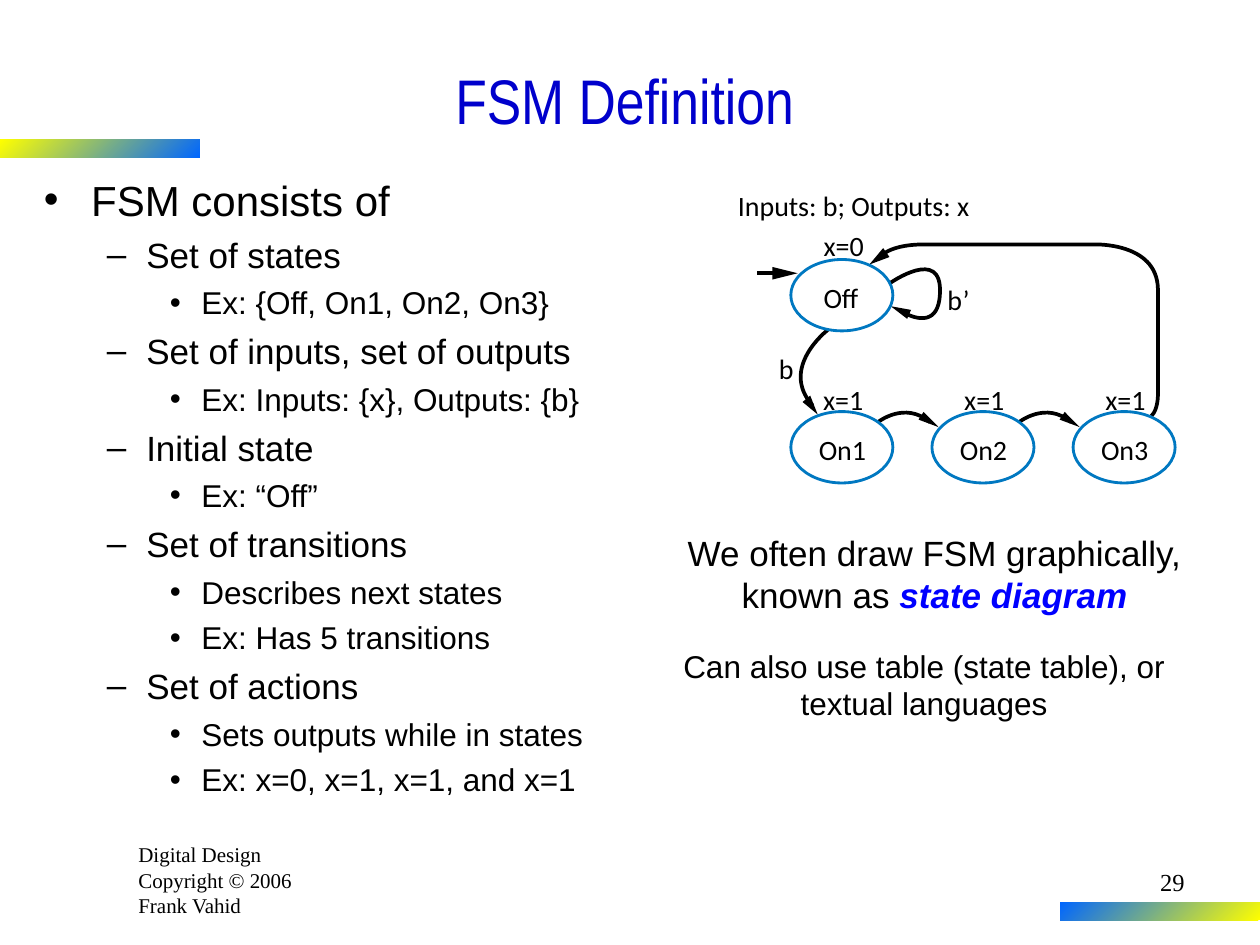
from lxml import etree
from pptx import Presentation
from pptx.dml.color import RGBColor
from pptx.enum.shapes import MSO_CONNECTOR, MSO_SHAPE
from pptx.enum.text import MSO_ANCHOR, PP_ALIGN
from pptx.oxml.ns import qn
from pptx.util import Pt

LEFT, CENTER, RIGHT = PP_ALIGN.LEFT, PP_ALIGN.CENTER, PP_ALIGN.RIGHT
TOP, MIDDLE = MSO_ANCHOR.TOP, MSO_ANCHOR.MIDDLE
RECTANGLE, OVAL = MSO_SHAPE.RECTANGLE, MSO_SHAPE.OVAL
STRAIGHT = MSO_CONNECTOR.STRAIGHT

BLACK = "000000"
BLUE, YELLOW = "0066FF", "FFFF00"
STATE_PITCH = 80.64

BULLET_LEVELS = [
    ("•", 24, 27, 27, 0),
    ("–", 20, 58.5, 22.5, 5),
    ("•", 18, 90, 18, 4.5),
]

OUTLINE = [
    (0, "FSM consists of"),
    (1, "Set of states"),
    (2, "Ex: {Off, On1, On2, On3}"),
    (1, "Set of inputs, set of outputs"),
    (2, "Ex: Inputs: {x}, Outputs: {b}"),
    (1, "Initial state"),
    (2, "Ex: “Off”"),
    (1, "Set of transitions"),
    (2, "Describes next states"),
    (2, "Ex: Has 5 transitions"),
    (1, "Set of actions"),
    (2, "Sets outputs while in states"),
    (2, "Ex: x=0, x=1, x=1, and x=1"),
]


def color(value):
    return RGBColor.from_string(value)


def shift(points, distance):
    return [(x + distance, y) for x, y in points]


class SlideBuilder:
    ink = BLACK
    stroke = 2.13
    state_color = "0078C1"
    state_stroke = 1.62

    def __init__(self, page):
        self.page = page

    def span(self, para, text, font, size, ink=BLACK, strong=False):
        span = para.add_run()
        span.text = text
        span.font.name = font
        span.font.size = Pt(size)
        span.font.color.rgb = color(ink)
        span.font.bold = span.font.italic = strong

    def box(self, left, top, width, height, anchor=TOP, inset=(7.2, 3.6), wrap=True):
        box = self.page.shapes.add_textbox(Pt(left), Pt(top), Pt(width), Pt(height))
        frame = box.text_frame
        frame.word_wrap = wrap
        frame.vertical_anchor = anchor
        frame.margin_left = frame.margin_right = Pt(inset[0])
        frame.margin_top = frame.margin_bottom = Pt(inset[1])
        return frame

    def text(self, place, lines, font, size, align=LEFT, **options):
        frame = self.box(*place, **options)
        for index, spans in enumerate(lines):
            para = frame.add_paragraph() if index else frame.paragraphs[0]
            para.alignment = align
            for words, ink, strong in spans:
                self.span(para, words, font, size, ink, strong)

    def label(self, left, top, width, words):
        self.text((left, top, width, 19.4), [[(words, self.ink, False)]],
                  "Calibri", 16, inset=(0, 0), wrap=False)

    def bullets(self, place, items):
        frame = self.box(*place)
        for index, (level, words) in enumerate(items):
            mark, size, margin, hang, space = BULLET_LEVELS[level]
            para = frame.add_paragraph() if index else frame.paragraphs[0]
            para.level = level
            para.space_before = Pt(space)
            properties = para._p.get_or_add_pPr()
            properties.set("marL", str(Pt(margin)))
            properties.set("indent", str(-Pt(hang)))
            etree.SubElement(properties, qn("a:buFont"), typeface="Arial")
            etree.SubElement(properties, qn("a:buChar"), char=mark)
            self.span(para, words, "Arial", size)

    def bar(self, left, top, start, end):
        bar = self.page.shapes.add_shape(RECTANGLE, Pt(left), Pt(top), Pt(114.2), Pt(10.4))
        bar.shadow.inherit = False
        bar.line.fill.background()
        bar.fill.gradient()
        bar.fill.gradient_angle = 135
        for stop, value in zip(bar.fill.gradient_stops, (start, end)):
            stop.color.rgb = color(value)

    def state(self, left, top):
        oval = self.page.shapes.add_shape(OVAL, Pt(left), Pt(top), Pt(58.3), Pt(40.8))
        oval.shadow.inherit = False
        oval.fill.background()
        oval.line.color.rgb = color(self.state_color)
        oval.line.width = Pt(self.state_stroke)

    def outline(self, points, close):
        corners = [(Pt(x), Pt(y)) for x, y in points]
        builder = self.page.shapes.build_freeform(*corners[0], scale=1.0)
        builder.add_line_segments(corners[1:], close=close)
        shape = builder.convert_to_shape()
        shape.shadow.inherit = False
        return shape

    def curve(self, points):
        shape = self.outline(points, False)
        shape.fill.background()
        shape.line.color.rgb = color(self.ink)
        shape.line.width = Pt(self.stroke)
        track = shape._element.find(".//" + qn("a:path"))
        segments = track.findall(qn("a:lnTo"))
        for first in range(0, len(segments), 3):
            bezier = etree.SubElement(track, qn("a:cubicBezTo"))
            for segment in segments[first:first + 3]:
                bezier.append(segment[0])
                track.remove(segment)

    def arrowhead(self, points):
        shape = self.outline(points, True)
        shape.fill.solid()
        shape.fill.fore_color.rgb = color(self.ink)
        shape.line.fill.background()

    def line(self, x1, y1, x2, y2):
        line = self.page.shapes.add_connector(STRAIGHT, Pt(x1), Pt(y1), Pt(x2), Pt(y2))
        line.line.color.rgb = color(self.ink)
        line.line.width = Pt(self.stroke)
        etree.SubElement(line._element.spPr, qn("a:effectLst"))


def draw_diagram(slide):
    slide.label(421.7, 108, 153.4, "Inputs: b; Outputs: x")
    slide.line(432.7, 156.2, 444.2, 156.2)
    slide.arrowhead([(455.8, 156.2), (441.4, 152.6), (441.4, 159.8)])

    step_curve = [(501.8, 241.2), (501.8, 241.2), (517, 229), (531.4, 241.2)]
    step_head = [(536.4, 244.1), (527.8, 235.4), (524.9, 239.8)]
    for index in range(2):
        slide.curve(shift(step_curve, index * STATE_PITCH))
        slide.arrowhead(shift(step_head, index * STATE_PITCH))

    slide.curve([(516.2, 178.6), (524.2, 182.9), (536.4, 185.8), (537.1, 167.8),
                 (538.6, 140.4), (508.3, 162), (508.3, 162)])
    slide.arrowhead([(509, 175), (518.4, 182.2), (520.6, 177.1)])

    slide.curve([(505.4, 144.7), (509.8, 141.8), (517, 139.7), (528.5, 139.7),
                 (625, 139.7), (625, 139.7), (625, 139.7),
                 (625, 139.7), (661, 138.2), (661.7, 164.9),
                 (661.7, 226.1), (661.7, 226.1), (661.7, 226.1),
                 (661.7, 226.1), (661.7, 234), (658.1, 237.6)])
    slide.arrowhead([(496.8, 151.2), (508.3, 146.9), (504.7, 141.8)])

    slide.curve([(473, 188.6), (473, 188.6), (445, 210.2), (464.4, 231.8)])
    slide.arrowhead([(467.3, 236.9), (463, 226.1), (458.6, 229.7)])

    slide.label(541.4, 161.3, 10, "b")
    slide.label(550.1, 161.3, 3, "’")
    slide.label(445, 200.9, 10, "b")

    slide.label(470.6, 130.7, 26.6, "x=0")
    slide.label(470.6, 160.6, 23.8, "Off")
    slide.state(451.9, 148.3)
    for index in range(3):
        offset = index * STATE_PITCH
        slide.label(470.4 + offset, 218.9, 26.6, "x=1")
        slide.label(467.9 + offset, 247.4, 31.7, f"On{index + 1}")
        slide.state(451.9 + offset, 235.2)


def main():
    deck = Presentation()
    deck.slide_width, deck.slide_height = Pt(720), Pt(540)
    slide = SlideBuilder(deck.slides.add_slide(deck.slide_layouts[6]))

    credit = ["Digital Design", "Copyright © 2006", "Frank Vahid"]
    slide.text((72, 477.6, 120.2, 50.4), [[(words, BLACK, False)] for words in credit],
               "Times New Roman", 12)
    slide.bar(0, 79.9, BLUE, YELLOW)
    slide.bar(605.8, 515.5, YELLOW, BLUE)
    slide.text((18, 23.8, 678, 66.2), [[("FSM Definition", "0000CC", False)]],
               "Arial Narrow", 36, CENTER, anchor=MIDDLE)
    slide.bullets((18, 96, 372, 384), OUTLINE)
    draw_diagram(slide)
    slide.text((378, 300.2, 312, 55.4),
               [[("We often draw FSM graphically, known as ", BLACK, False),
                 ("state diagram", "0000FF", True)]], "Arial", 20, CENTER)
    slide.text((372, 366, 312, 50.4),
               [[("Can also use table (state table), or textual languages", BLACK, False)]],
               "Arial", 18, CENTER)
    slide.text((534, 492, 150, 36), [[("29", BLACK, False)]],
               "Times New Roman", 14, RIGHT)
    deck.save("out.pptx")


if __name__ == "__main__":
    main()
